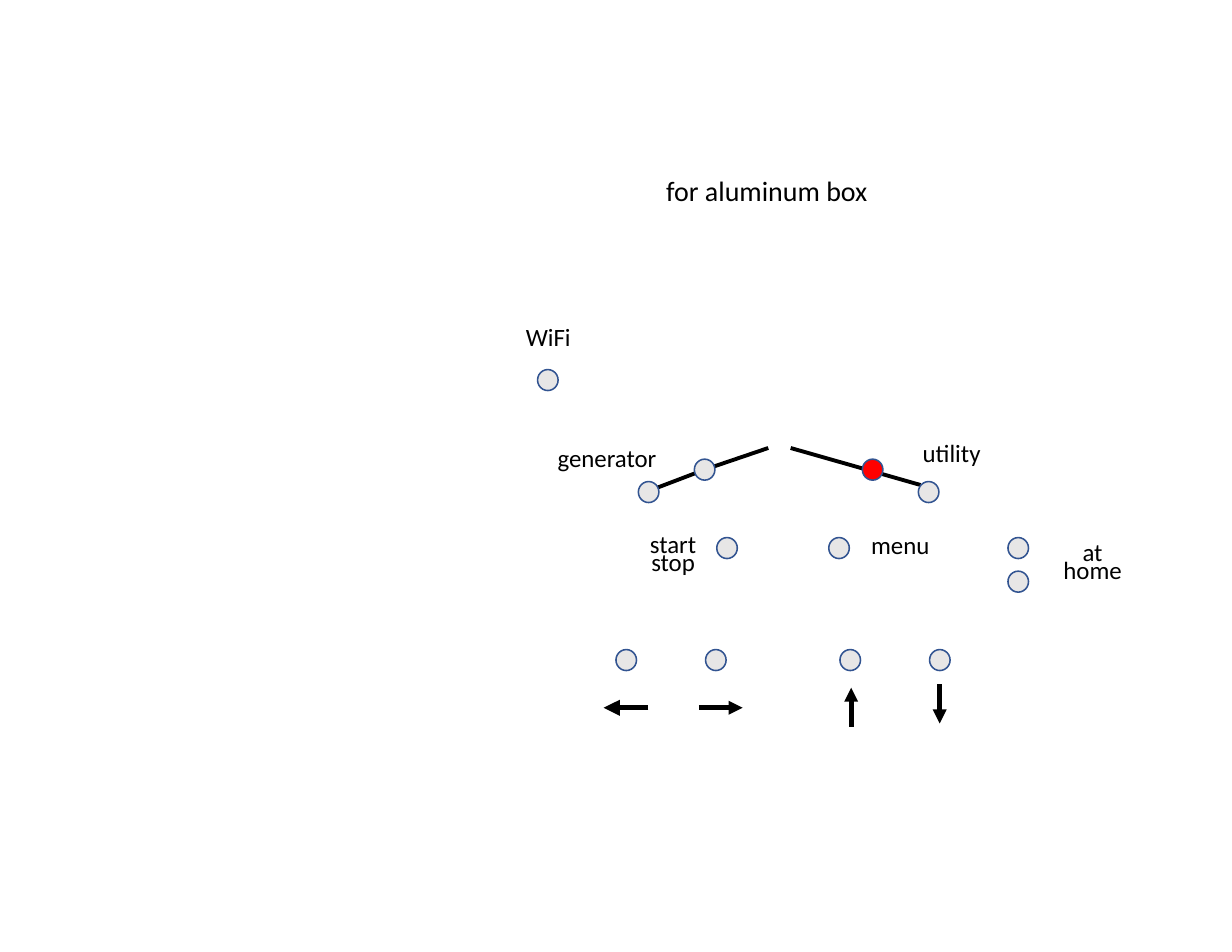
from lxml import etree
from pptx import Presentation
from pptx.dml.color import RGBColor
from pptx.enum.shapes import MSO_CONNECTOR, MSO_SHAPE
from pptx.enum.text import MSO_AUTO_SIZE, PP_ALIGN
from pptx.oxml.ns import qn
from pptx.util import Pt

STRAIGHT, OVAL = MSO_CONNECTOR.STRAIGHT, MSO_SHAPE.OVAL
LEFT, CENTER = PP_ALIGN.LEFT, PP_ALIGN.CENTER
FIT = MSO_AUTO_SIZE.SHAPE_TO_FIT_TEXT

COLORS = {"ink": "000000", "off": "E7E6E6", "on": "FF0000", "rim": "325491"}
GRID = 7.2  # drilling grid of the panel, a tenth of an inch
LED_W, LED_H = 13.2, 13.5

# LEDs as (column, row) on the drilling grid
LEDS_OFF = [
    (48, 33),                                # WiFi
    (57, 43), (62, 41), (82, 43),            # generator and utility
    (64, 48), (74, 48),                      # start/stop and menu
    (90, 48), (90, 51),                      # at home
    (55, 58), (63, 58), (75, 58), (83, 58),  # arrow buttons
]
LEDS_ON = [(77, 41)]

# Lines as x1, y1, x2, y2
WIRES = [
    (417.6, 315.4, 459.4, 299.5),
    (453.6, 301.7, 493.9, 288),
    (508.3, 288, 591.8, 311.8),
]
# Arrows as the line plus its width
ARROWS = [
    ((449.3, 455, 477.4, 455), 3),
    ((416.9, 455, 388.1, 455), 3.5),
    ((547.2, 467.3, 547.2, 442.1), 3),
    ((604.1, 439.9, 604.1, 465.1), 3),
]

# Labels as paragraphs, box (left, top, width, height), alignment
TITLE = (["for aluminum box"], (421.2, 108, 145.4, 28.8))
LABELS = [
    (["WiFi"], (330.5, 210.2, 43.9, 20.9), CENTER),
    (["generator"], (351.4, 288, 79.2, 20.9), LEFT),
    (["utility"], (586.1, 285.1, 51.8, 20.9), LEFT),
    (["start\nstop"], (410.4, 343.4, 44.6, 32.4), CENTER),
    (["menu"], (553, 344.2, 52.6, 20.9), LEFT),
    (["at", "home"], (676.1, 348.5, 52.6, 32.4), CENTER),
]


def rgb(name):
    return RGBColor.from_string(COLORS[name])


def add_text(slide, paragraphs, box, size=16, align=LEFT, spacing=None):
    tf = slide.shapes.add_textbox(*map(Pt, box)).text_frame
    tf.word_wrap = False
    tf.auto_size = FIT
    for i, text in enumerate(paragraphs):
        p = tf.add_paragraph() if i else tf.paragraphs[0]
        p.text = text
        p.alignment = align
        if spacing:
            p.line_spacing = Pt(spacing)
        for r in p.runs:
            r.font.name = "Calibri"
            r.font.size = Pt(size)
            r.font.color.rgb = rgb("ink")


def add_line(slide, ends, width, arrow=False):
    line = slide.shapes.add_connector(STRAIGHT, *map(Pt, ends))
    line.line.color.rgb = rgb("ink")
    line.line.width = Pt(width)
    if arrow:
        ln = line.line._get_or_add_ln()
        etree.SubElement(ln, qn("a:tailEnd"), type="triangle")
    etree.SubElement(line._element.spPr, qn("a:effectLst"))


def add_led(slide, column, row, fill):
    sp = slide.shapes.add_shape(OVAL, Pt(column * GRID), Pt(row * GRID),
                                Pt(LED_W), Pt(LED_H))
    sp.shadow.inherit = False
    sp.fill.solid()
    sp.fill.fore_color.rgb = rgb(fill)
    sp.line.color.rgb = rgb("rim")
    sp.line.width = Pt(1)


def main():
    prs = Presentation()
    prs.slide_width, prs.slide_height = Pt(792), Pt(612)
    slide = prs.slides.add_slide(prs.slide_layouts[6])

    # Arrows and wires lie under the LEDs
    for ends, width in ARROWS:
        add_line(slide, ends, width, arrow=True)
    for ends in WIRES:
        add_line(slide, ends, 2.5)

    # LEDs
    for fill, spots in (("off", LEDS_OFF), ("on", LEDS_ON)):
        for column, row in spots:
            add_led(slide, column, row, fill)

    # Title and labels
    add_text(slide, *TITLE, size=18)
    for paragraphs, box, align in LABELS:
        add_text(slide, paragraphs, box, align=align, spacing=12)

    prs.save("out.pptx")


if __name__ == "__main__":
    main()
